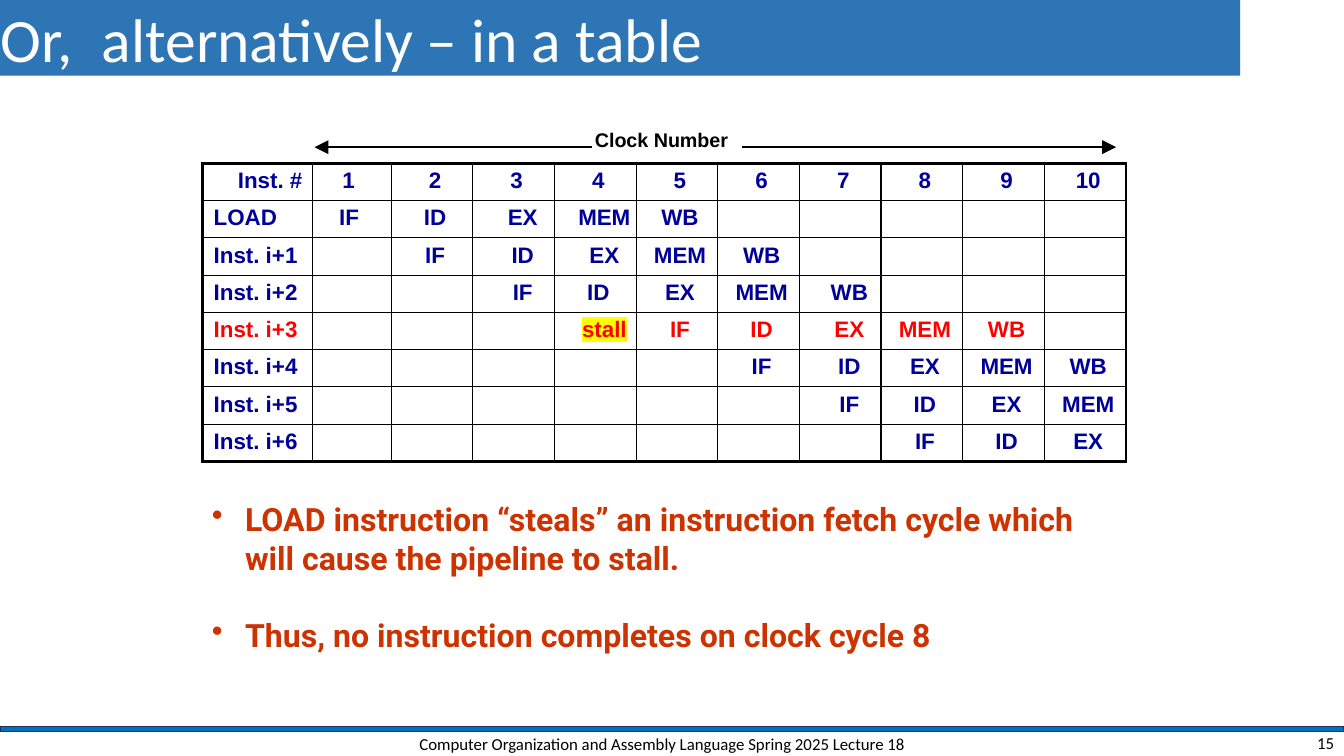
from dataclasses import dataclass
from typing import Optional

from lxml import etree
from pptx import Presentation, util as u
from pptx.dml.color import RGBColor
from pptx.enum import shapes, text
from pptx.oxml import ns

WHITE = RGBColor(0xFF, 0xFF, 0xFF)
BLACK = RGBColor(0, 0, 0)
TITLE_BLUE = RGBColor(0x2E, 0x75, 0xB6)
BAR_BLUE = RGBColor(0x00, 0x70, 0xC0)
BAR_EDGE = RGBColor(0x1E, 0x32, 0x56)
NAVY = RGBColor(0x00, 0x00, 0x99)
RED = RGBColor(0xFF, 0, 0)
RUST = RGBColor(0xCC, 0x33, 0)
YELLOW = RGBColor(0xFF, 0xFF, 0)

LEFT, CENTER, RIGHT = text.PP_ALIGN.LEFT, text.PP_ALIGN.CENTER, text.PP_ALIGN.RIGHT
STAGES = ["IF", "ID", "EX", "MEM", "WB"]
CYCLES = 10


@dataclass
class Style:
    size: float
    color: RGBColor
    name: str = "Calibri"
    bold: bool = False


@dataclass
class Label:
    words: str
    at: tuple[float, float, float, float]
    style: Style
    align: text.PP_ALIGN = LEFT
    anchor: text.MSO_ANCHOR = text.MSO_ANCHOR.MIDDLE
    margins: tuple[float, float] = (0.1, 0.05)


@dataclass
class Instruction:
    name: str
    start: int
    stalled: bool = False


@dataclass
class Arrow:
    start: float
    tip: float


def inches(values) -> list[u.Length]:
    return [u.Inches(value) for value in values]


def add_element(parent, tag: str, **attributes: str):
    return etree.SubElement(parent, ns.qn(tag), attributes)


def add_color(parent, color: RGBColor) -> None:
    add_element(parent, "a:srgbClr", val=str(color))


def set_font(para, style: Style) -> None:
    para.font.size = u.Pt(style.size)
    para.font.name = style.name
    para.font.bold = style.bold
    para.font.color.rgb = style.color


def set_indent(para, left: float, first: float = 0) -> None:
    properties = para._p.get_or_add_pPr()
    properties.set("marL", str(u.Inches(left)))
    properties.set("indent", str(u.Inches(first)))


def add_bar(page, at: tuple, fill: RGBColor, edge: Optional[RGBColor] = None):
    bar = page.shapes.add_shape(shapes.MSO_SHAPE.RECTANGLE, *inches(at))
    bar.shadow.inherit = False
    bar.fill.solid()
    bar.fill.fore_color.rgb = fill
    if edge is None:
        bar.line.fill.background()
    else:
        bar.line.color.rgb = edge
        bar.line.width = u.Pt(1)
    return bar


def set_frame(frame, margins: tuple[float, float], anchor: text.MSO_ANCHOR) -> None:
    frame.word_wrap = True
    frame.vertical_anchor = anchor
    frame.margin_left = frame.margin_right = u.Inches(margins[0])
    frame.margin_top = frame.margin_bottom = u.Inches(margins[1])


def add_label(page, label: Label) -> None:
    box = page.shapes.add_textbox(*inches(label.at))
    set_frame(box.text_frame, label.margins, label.anchor)
    para = box.text_frame.paragraphs[0]
    para.text = label.words
    para.alignment = label.align
    set_font(para, label.style)


def add_title(page) -> None:
    bar = add_bar(page, (0, 0, 12.3, 0.75), TITLE_BLUE)
    set_frame(bar.text_frame, (0, 0.01), text.MSO_ANCHOR.MIDDLE)
    para = bar.text_frame.paragraphs[0]
    para.text = "Or,\talternatively – in a table"
    para.alignment = LEFT
    set_indent(para, 0.01)
    tabs = add_element(para._p.get_or_add_pPr(), "a:tabLst")
    add_element(tabs, "a:tab", pos=str(u.Inches(0.72)), algn="l")
    set_font(para, Style(44, WHITE))


def set_borders(cell, row: int, column: int, last_row: int) -> None:
    outer = {"L": column == 0, "R": column == CYCLES, "T": row == 0, "B": row == last_row}
    properties = cell._tc.get_or_add_tcPr()
    for place, (side, thick) in enumerate(outer.items()):
        line = etree.Element(ns.qn(f"a:ln{side}"), w=str(u.Pt(2.25 if thick else 1)))
        add_color(add_element(line, "a:solidFill"), BLACK)
        properties.insert(place, line)


def place_words(cell, words: str, row: int, column: int, color: RGBColor) -> None:
    para = cell.text_frame.paragraphs[0]
    span = para.add_run()
    span.text = words
    if column == 0:
        set_indent(para, 0.35 if row == 0 else 0.11)
    elif column == 1:
        para.alignment = RIGHT
        cell.margin_right = u.Inches(0.36 if row == 0 else 0.32)
    else:
        para.alignment = CENTER
        shifted = row > 0 and column in (3, 4, 7) and (column, words) != (4, "ID")
        set_indent(para, 0.18 if shifted else 0.06)
    set_font(para, Style(16, color, "Arial", True))
    if words == "stall":
        add_color(add_element(span.font._element, "a:highlight"), YELLOW)


def add_pipeline(page, instructions: list[Instruction]) -> None:
    rows = [["Inst. #"] + [str(cycle) for cycle in range(1, CYCLES + 1)]]
    for instruction in instructions:
        steps = (["stall"] if instruction.stalled else []) + STAGES
        row = [instruction.name] + [""] * (instruction.start - 1) + steps
        rows.append((row + [""] * CYCLES)[:CYCLES + 1])

    widths = [1.09, 0.78] + [0.81] * (CYCLES - 1)
    height = 0.37
    frame = page.shapes.add_table(len(rows), len(widths), *inches(
        (2.01, 1.62, sum(widths), height * len(rows))))
    table = frame.table
    table.first_row = table.horz_banding = False
    for column, width in zip(table.columns, widths):
        column.width = u.Inches(width)
    for r, row in enumerate(rows):
        table.rows[r].height = u.Inches(height)
        color = RED if r and instructions[r - 1].stalled else NAVY
        for c, words in enumerate(row):
            cell = table.cell(r, c)
            cell.margin_left = cell.margin_right = cell.margin_bottom = 0
            cell.margin_top = u.Inches(0.05)
            cell.fill.background()
            set_borders(cell, r, c, len(rows) - 1)
            if words:
                place_words(cell, words, r, c, color)


def add_arrow(page, arrow: Arrow) -> None:
    line = page.shapes.add_connector(shapes.MSO_CONNECTOR.STRAIGHT, *inches(
        (arrow.start, 1.46, arrow.tip, 1.46)))
    line.line.color.rgb = BLACK
    line.line.width = u.Pt(1)
    add_element(line.line._get_or_add_ln(), "a:tailEnd", type="triangle", w="lg", len="lg")
    add_element(line._element.spPr, "a:effectLst")


def add_bullets(page, points: list[str]) -> None:
    box = page.shapes.add_textbox(*inches((2.09, 4.93, 8.91, 1.55)))
    frame = box.text_frame
    set_frame(frame, (0, 0.03), text.MSO_ANCHOR.TOP)
    for place, words in enumerate(points):
        para = frame.add_paragraph() if place else frame.paragraphs[0]
        para.text = words
        para.line_spacing = u.Pt(27.4)
        if place:
            para.space_before = u.Pt(27.6)
        set_indent(para, 0.34, -0.33)
        add_element(para._p.get_or_add_pPr(), "a:buChar", char="•")
        set_font(para, Style(22.9, RUST, "Roboto", True))


def main() -> None:
    deck = Presentation()
    deck.slide_width, deck.slide_height = inches((13.33, 7.5))
    page = deck.slides.add_slide(deck.slide_layouts[6])

    # Title and footer bars
    add_bar(page, (0, 7.21, 13.33, 0.05), BAR_BLUE, BAR_EDGE)
    add_title(page)

    # Pipeline table under its clock axis
    add_pipeline(page, [
        Instruction("LOAD", 1), Instruction("Inst. i+1", 2), Instruction("Inst. i+2", 3),
        Instruction("Inst. i+3", 4, stalled=True), Instruction("Inst. i+4", 6),
        Instruction("Inst. i+5", 7), Instruction("Inst. i+6", 8)])
    for arrow in (Arrow(5.87, 3.12), Arrow(7.36, 11.07)):
        add_arrow(page, arrow)

    # Conclusions
    add_bullets(page, [
        "LOAD instruction “steals” an instruction fetch cycle which will cause the pipeline to stall.",
        "Thus, no instruction completes on clock cycle 8"])

    # Axis name, footer and page number
    small = Style(12, BLACK)
    for label in (
        Label("Clock Number", (5.9, 1.26, 1.35, 0.25), Style(14.1, BLACK, "Arial", True),
              anchor=text.MSO_ANCHOR.TOP, margins=(0, 0.01)),
        Label("Computer Organization and Assembly Language Spring 2025 Lecture 18",
              (3.92, 7.24, 5.3, 0.28), small, CENTER),
        Label("15", (10.33, 7.24, 3, 0.25), small, RIGHT),
    ):
        add_label(page, label)

    deck.save("out.pptx")


if __name__ == "__main__":
    main()
